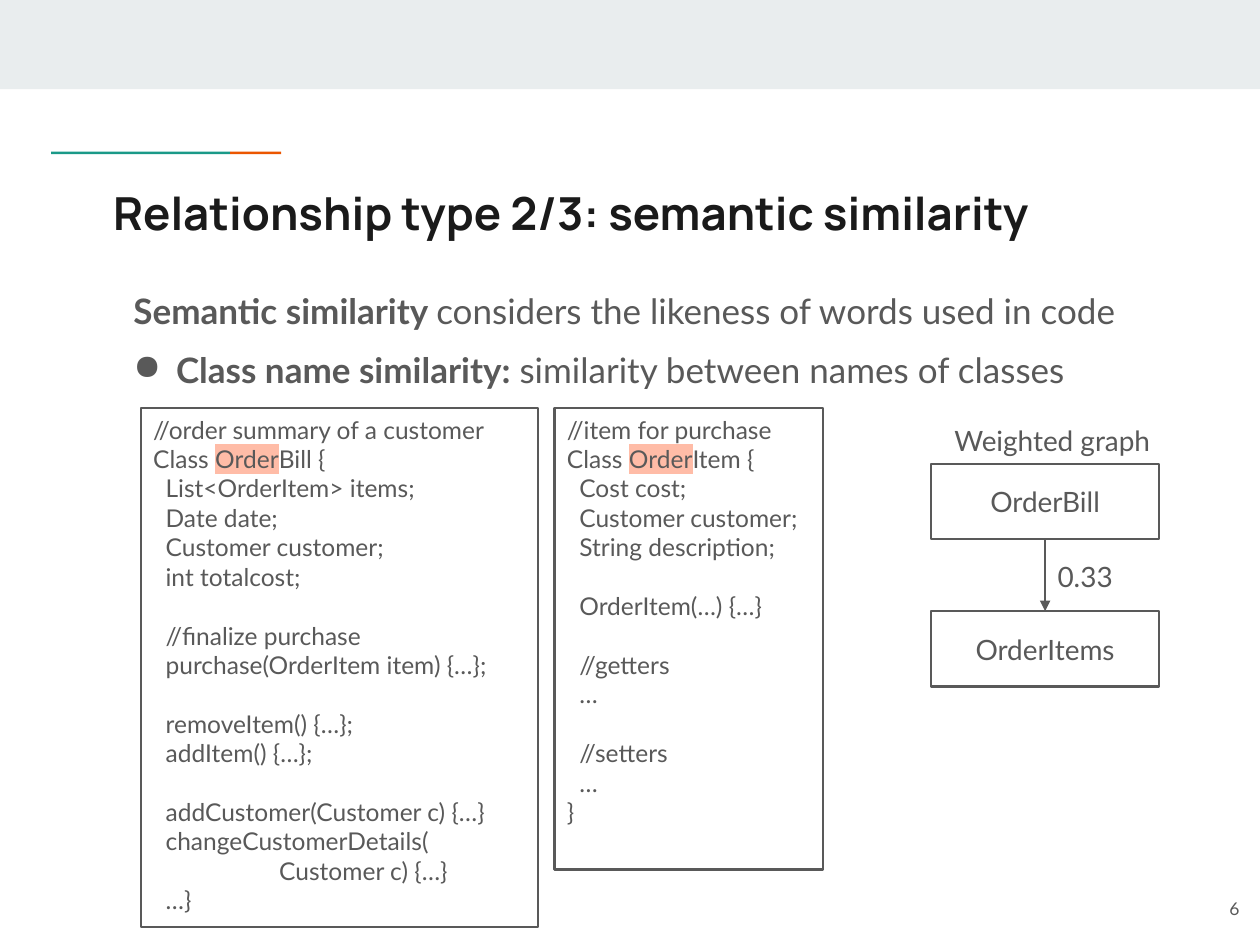
from dataclasses import dataclass

from lxml import etree
from pptx import Presentation
from pptx.dml.color import RGBColor
from pptx.enum.shapes import MSO_CONNECTOR, MSO_SHAPE
from pptx.enum.text import MSO_ANCHOR, MSO_AUTO_SIZE, PP_ALIGN
from pptx.oxml.ns import qn
from pptx.util import Cm, Pt

LEFT, CENTER, RIGHT = PP_ALIGN.LEFT, PP_ALIGN.CENTER, PP_ALIGN.RIGHT
TOP, MIDDLE = MSO_ANCHOR.TOP, MSO_ANCHOR.MIDDLE
RECT, STRAIGHT = MSO_SHAPE.RECTANGLE, MSO_CONNECTOR.STRAIGHT
NO_FIT = MSO_AUTO_SIZE.NONE


@dataclass(frozen=True)
class Theme:
    band: str = "E9EDEE"
    teal: str = "1A9988"
    orange: str = "EB5600"
    heading: str = "1A1A1A"
    text: str = "595959"
    mark: str = "FFBCA7"
    heading_font: str = "Manrope"
    font: str = "Lato"
    title: int = 26
    body: int = 20
    graph: int = 16
    code: int = 14
    number: int = 10
    code_gap: float = 16.8


T = Theme()


def rgb(value):
    return RGBColor.from_string(value)


def set_font(p, size, color=T.text, name=T.font, bold=False):
    f = p.font
    f.size, f.name, f.bold = Pt(size), name, bold
    f.color.rgb = rgb(color)


def set_frame(tf, anchor=TOP, inset=0.25, inset_y=0.13):
    tf.word_wrap = True
    tf.auto_size = NO_FIT
    tf.vertical_anchor = anchor
    tf.margin_left = tf.margin_right = Cm(inset)
    tf.margin_top = tf.margin_bottom = Cm(inset_y)


def add_block(s, x, y, w, h, fill=None, line=None):
    sp = s.shapes.add_shape(RECT, Cm(x), Cm(y), Cm(w), Cm(h))
    sp.shadow.inherit = False
    if fill:
        sp.fill.solid()
        sp.fill.fore_color.rgb = rgb(fill)
    else:
        sp.fill.background()
    if line:
        sp.line.color.rgb = rgb(line)
        sp.line.width = Pt(1.25)
    else:
        sp.line.fill.background()
    return sp


def write_line(tf, text, size, align=LEFT):
    p = tf.paragraphs[0]
    p.text, p.alignment = text, align
    set_font(p, size)


def add_label(s, x, y, w, h, text, size, align=LEFT, anchor=TOP):
    tf = s.shapes.add_textbox(Cm(x), Cm(y), Cm(w), Cm(h)).text_frame
    set_frame(tf, anchor)
    write_line(tf, text, size, align)


def add_header(s, x, y, w):
    add_block(s, x, y, w, 1.8, T.band)
    add_block(s, x + 1.03, y + 3.06, 3.61, 0.05, T.teal)
    add_block(s, x + 4.64, y + 3.06, 1.03, 0.05, T.orange)


def add_title(s, x, y, w, h, text):
    sp = s.shapes.title
    sp.left, sp.top, sp.width, sp.height = Cm(x), Cm(y), Cm(w), Cm(h)
    set_frame(sp.text_frame, inset_y=0.25)
    p = sp.text_frame.paragraphs[0]
    p.text, p.alignment = text, LEFT
    set_font(p, T.title, T.heading, T.heading_font, True)


def set_indent(p, margin, indent=0.0):
    pPr = p._p.get_or_add_pPr()
    pPr.set("marL", str(Cm(margin)))
    pPr.set("indent", str(Cm(indent)))
    return pPr


def add_bullet(p, margin, indent):
    pPr = set_indent(p, margin, indent)
    bullet = etree.Element(qn("a:buChar"), char="●")
    pPr.find(qn("a:defRPr")).addprevious(bullet)


def add_body(s, x, y, w, h, points):
    tf = s.shapes.add_textbox(Cm(x), Cm(y), Cm(w), Cm(h)).text_frame
    set_frame(tf, inset_y=0.25)
    for i, (term, meaning) in enumerate(points):
        p = tf.add_paragraph() if i else tf.paragraphs[0]
        p.line_spacing = 1.15
        set_font(p, T.body)
        for text, bold in ((term, True), (meaning, False)):
            r = p.add_run()
            r.text, r.font.bold = text, bold
        if i:
            add_bullet(p, 1.27, -0.86)
        else:
            p.space_after = Pt(6)
            set_indent(p, 0.41)


def highlight(r):
    mark = etree.SubElement(r._r.get_or_add_rPr(), qn("a:highlight"))
    etree.SubElement(mark, qn("a:srgbClr"), val=T.mark)


def add_code(s, x, y, w, h, lines):
    tf = add_block(s, x, y, w, h, line=T.text).text_frame
    set_frame(tf)
    for i, (indent, gap, *parts) in enumerate(lines):
        p = tf.add_paragraph() if i else tf.paragraphs[0]
        p.alignment = LEFT
        p.space_before = Pt(gap * T.code_gap)
        set_font(p, T.code)
        set_indent(p, indent)
        for k, text in enumerate(parts):
            r = p.add_run()
            r.text = text
            if k == 1:
                highlight(r)


def add_arrow(s, start, end):
    cx = s.shapes.add_connector(STRAIGHT, 0, 0, 0, 0)
    cx.begin_connect(start, 2)
    cx.end_connect(end, 0)
    cx.line.color.rgb = rgb(T.text)
    cx.line.width = Pt(1.5)
    etree.SubElement(cx.line._get_or_add_ln(), qn("a:tailEnd"), type="triangle")
    etree.SubElement(cx._element.spPr, qn("a:effectLst"))


def add_graph(s, x, y, w, heading, names, weight):
    add_label(s, x - 1.57, y - 0.94, 8.03, 0.94, heading, T.graph, CENTER)
    nodes = []
    for i, name in enumerate(names):
        sp = add_block(s, x, y + i * 2.97, w, 1.52, line=T.text)
        set_frame(sp.text_frame, MIDDLE)
        write_line(sp.text_frame, name, T.graph, CENTER)
        nodes.append(sp)
    add_arrow(s, *nodes)
    add_label(s, x + w / 2, y + 1.8, w / 2, 0.94, weight, T.graph)


POINTS = [
    ("Semantic similarity ", "considers the likeness of words used in code"),
    ("Class name similarity: ", "similarity between names of classes"),
]
STEP, DEEP = 0.25, 2.54
ORDER_BILL = [
    (0, 0, "//order summary of a customer"),
    (0, 0, "Class ", "Order", "Bill {"),
    (STEP, 0, "List<OrderItem> items;"),
    (STEP, 0, "Date date;"),
    (STEP, 0, "Customer customer;"),
    (STEP, 0, "int totalcost;"),
    (STEP, 1, "//finalize purchase"),
    (STEP, 0, "purchase(OrderItem item) {…};"),
    (STEP, 1, "removeItem() {…};"),
    (STEP, 0, "addItem() {…};"),
    (STEP, 1, "addCustomer(Customer c) {…}"),
    (STEP, 0, "changeCustomerDetails("),
    (DEEP, 0, "Customer c) {…}"),
    (STEP, 0, "…}"),
]
ORDER_ITEM = [
    (0, 0, "//item for purchase"),
    (0, 0, "Class ", "Order", "Item {"),
    (STEP, 0, "Cost cost;"),
    (STEP, 0, "Customer customer;"),
    (STEP, 0, "String description;"),
    (STEP, 1, "OrderItem(…) {…}"),
    (STEP, 1, "//getters"),
    (STEP, 0, "…"),
    (STEP, 1, "//setters"),
    (STEP, 0, "…"),
    (0, 0, "}"),
]

prs = Presentation()
prs.slide_width, prs.slide_height = Cm(25.4), Cm(19.05)
s = prs.slides.add_slide(prs.slide_layouts[5])
add_header(s, 0, 0, 25.4)
add_title(s, 2.03, 3.48, 21.36, 1.98, "Relationship type 2/3: semantic similarity")
add_body(s, 2.03, 5.46, 21.36, 2.7, POINTS)
add_code(s, 2.84, 8.23, 8, 10.46, ORDER_BILL)
add_code(s, 11.18, 8.23, 5.41, 9.3, ORDER_ITEM)
add_graph(s, 18.77, 9.35, 4.6, "Weighted graph", ("OrderBill", "OrderItems"), "0.33")
add_label(s, 23.72, 17.6, 1.52, 1.45, "6", T.number, RIGHT, MIDDLE)
prs.save("out.pptx")
